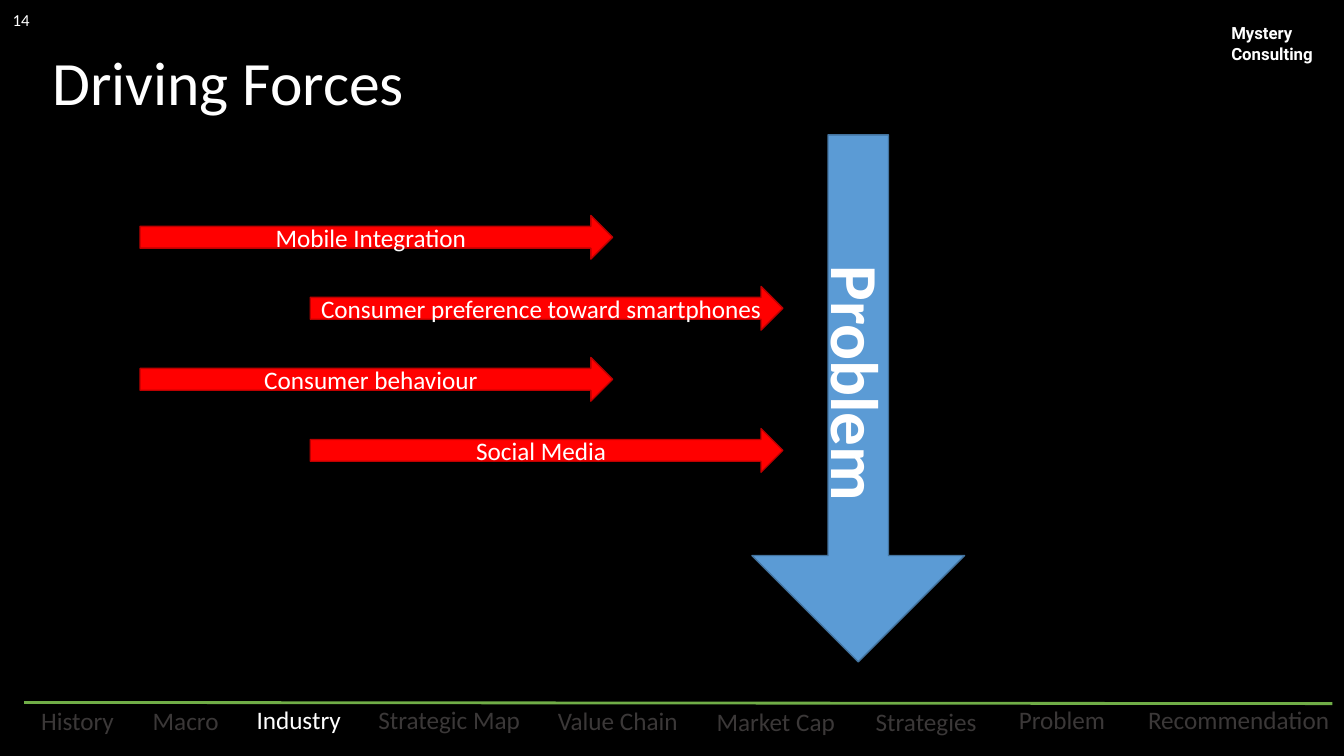
"""Build the Driving Forces slide."""
from lxml.etree import SubElement
from pptx import Presentation
from pptx.dml.color import RGBColor
from pptx.enum.shapes import MSO_CONNECTOR, MSO_SHAPE
from pptx.enum.text import MSO_ANCHOR, PP_ALIGN
from pptx.oxml.ns import qn
from pptx.util import Cm, Pt

WHITE = "FFFFFF"
DIM = "3B3838"


def color(value):
    return RGBColor.from_string(value)


def write(frame, text, size=18, font="Calibri", ink=WHITE, bold=False,
          align=PP_ALIGN.CENTER, anchor=MSO_ANCHOR.MIDDLE, wrap=True, spacing=None):
    frame.word_wrap = wrap
    frame.vertical_anchor = anchor
    para = frame.paragraphs[0]
    para.alignment = align
    para.line_spacing = spacing
    span = para.add_run()
    span.text = text
    span.font.name = font
    span.font.size = Pt(size)
    span.font.bold = bold
    span.font.color.rgb = color(ink)


class SlideBuilder:
    def __init__(self, page, background):
        self.page = page
        page.background.fill.solid()
        page.background.fill.fore_color.rgb = color(background)

    def text(self, place, text, **style):
        box = self.page.shapes.add_textbox(*map(Cm, place))
        write(box.text_frame, text, **style)

    def shape(self, kind, place, text, fill=None, line=None, **style):
        shape = self.page.shapes.add_shape(kind, *map(Cm, place))
        shape.shadow.inherit = False
        if fill:
            shape.fill.solid()
            shape.fill.fore_color.rgb = color(fill)
        else:
            shape.fill.background()
        if line:
            shape.line.color.rgb = color(line)
            shape.line.width = Pt(1)
        else:
            shape.line.fill.background()
        write(shape.text_frame, text, **style)
        return shape

    def line(self, ends, ink, width):
        connector = self.page.shapes.add_connector(MSO_CONNECTOR.STRAIGHT, *map(Cm, ends))
        connector.line.color.rgb = color(ink)
        connector.line.width = Pt(width)
        SubElement(connector._element.spPr, qn("a:effectLst"))


def add_navigation(builder):
    builder.line((0.61, 17.7, 33.58, 17.73), "70AD47", 2)
    sections = [
        ("History", 2.49, 17.74), ("Macro", 2.34, 17.74), ("Industry", 2.74, 17.72),
        ("Strategic Map", 4.22, 17.72), ("Value Chain", 3.66, 17.75),
        ("Market Cap", 3.68, 17.78), ("Strategies", 3.28, 17.78),
        ("Problem", 2.95, 17.72), ("Recommendation", 5.33, 17.72),
    ]
    left, gap = 0.71, 0.31
    for name, width, top in sections:
        ink = WHITE if name == "Industry" else DIM
        builder.shape(MSO_SHAPE.ROUNDED_RECTANGLE, (left, top, width, 0.81), name,
                      ink=ink, wrap=False)
        left += width + gap


def add_forces(builder):
    problem = builder.shape(MSO_SHAPE.DOWN_ARROW, (18.95, 3.4, 5.36, 13.28), "Problem",
                            fill="5B9BD5", line="43739E", size=48, bold=True)
    problem.adjustments[0] = 0.284
    problem.adjustments[1] = 0.5
    problem.text_frame._txBody.bodyPr.set("vert", "vert")
    forces = ["Mobile Integration", "Consumer preference toward smartphones",
              "Consumer behaviour", "Social Media"]
    for row, force in enumerate(forces):
        left = 7.82 if row % 2 else 3.53
        builder.shape(MSO_SHAPE.RIGHT_ARROW, (left, 5.43 + 1.79 * row, 11.91, 1.1), force,
                      fill="FF0000", line="BD0000", wrap=False)


def main():
    deck = Presentation()
    deck.slide_width, deck.slide_height = Cm(33.87), Cm(19.05)
    builder = SlideBuilder(deck.slides.add_slide(deck.slide_layouts[6]), "000000")
    add_navigation(builder)
    builder.text((30.78, 0.46, 2.79, 1.27), "Mystery Consulting", size=12, font="Roboto",
                 bold=True, align=PP_ALIGN.LEFT, anchor=MSO_ANCHOR.TOP)
    builder.text((1.07, 1.02, 28.73, 2.29), "Driving Forces", size=44,
                 align=PP_ALIGN.LEFT, spacing=0.9)
    builder.text((0, -0.02, 1.07, 1.02), "14", size=12)
    add_forces(builder)
    deck.save("out.pptx")


if __name__ == "__main__":
    main()
